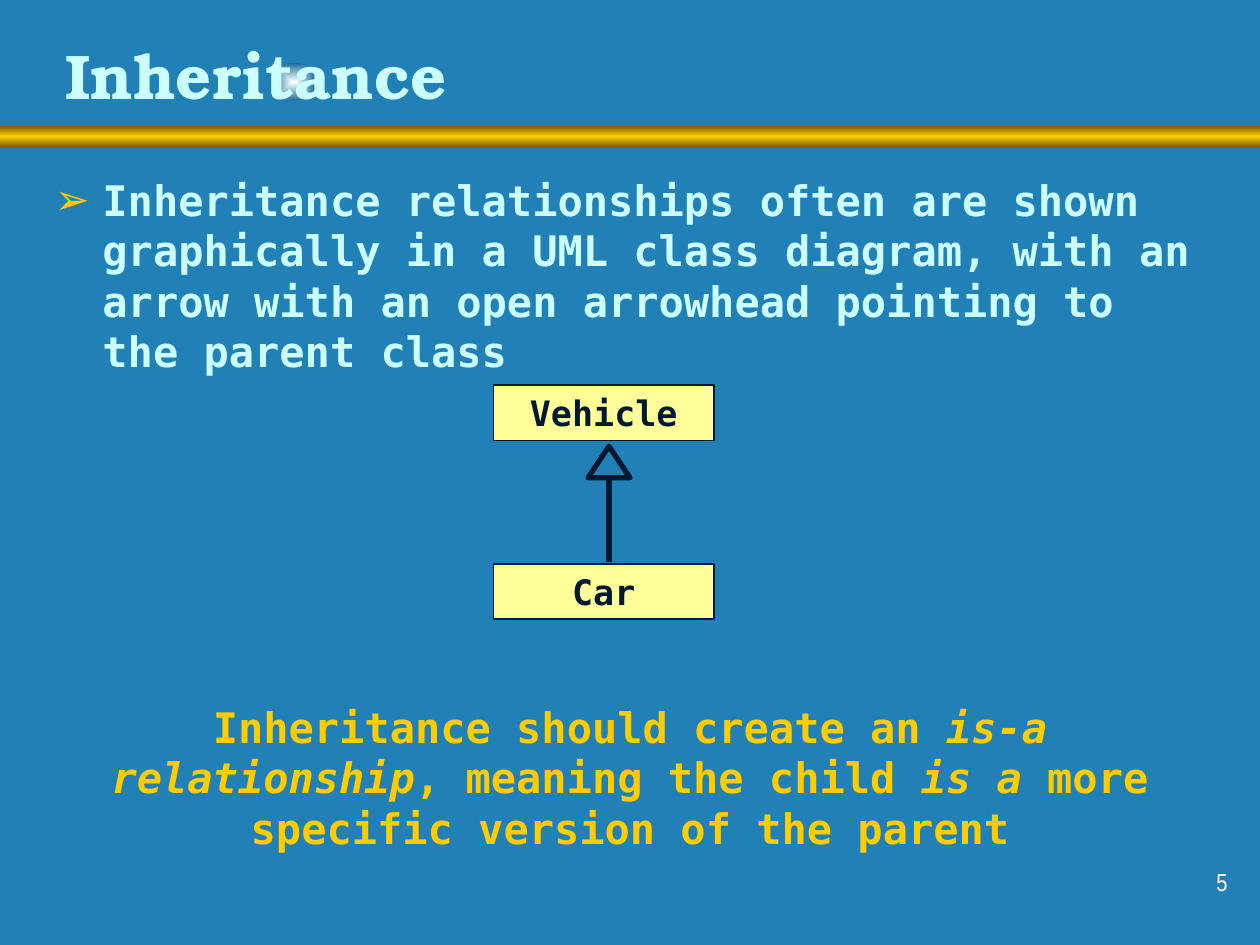
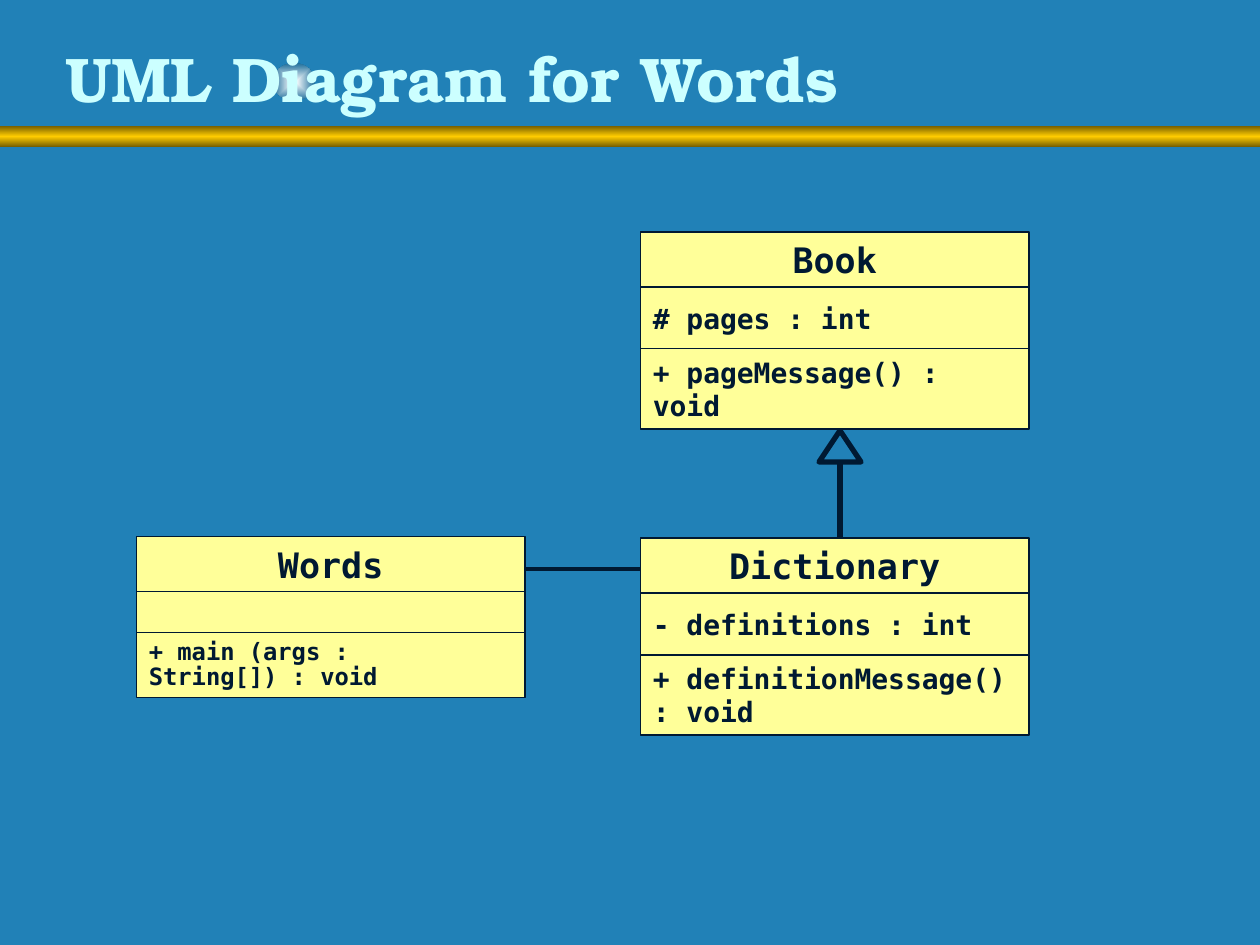
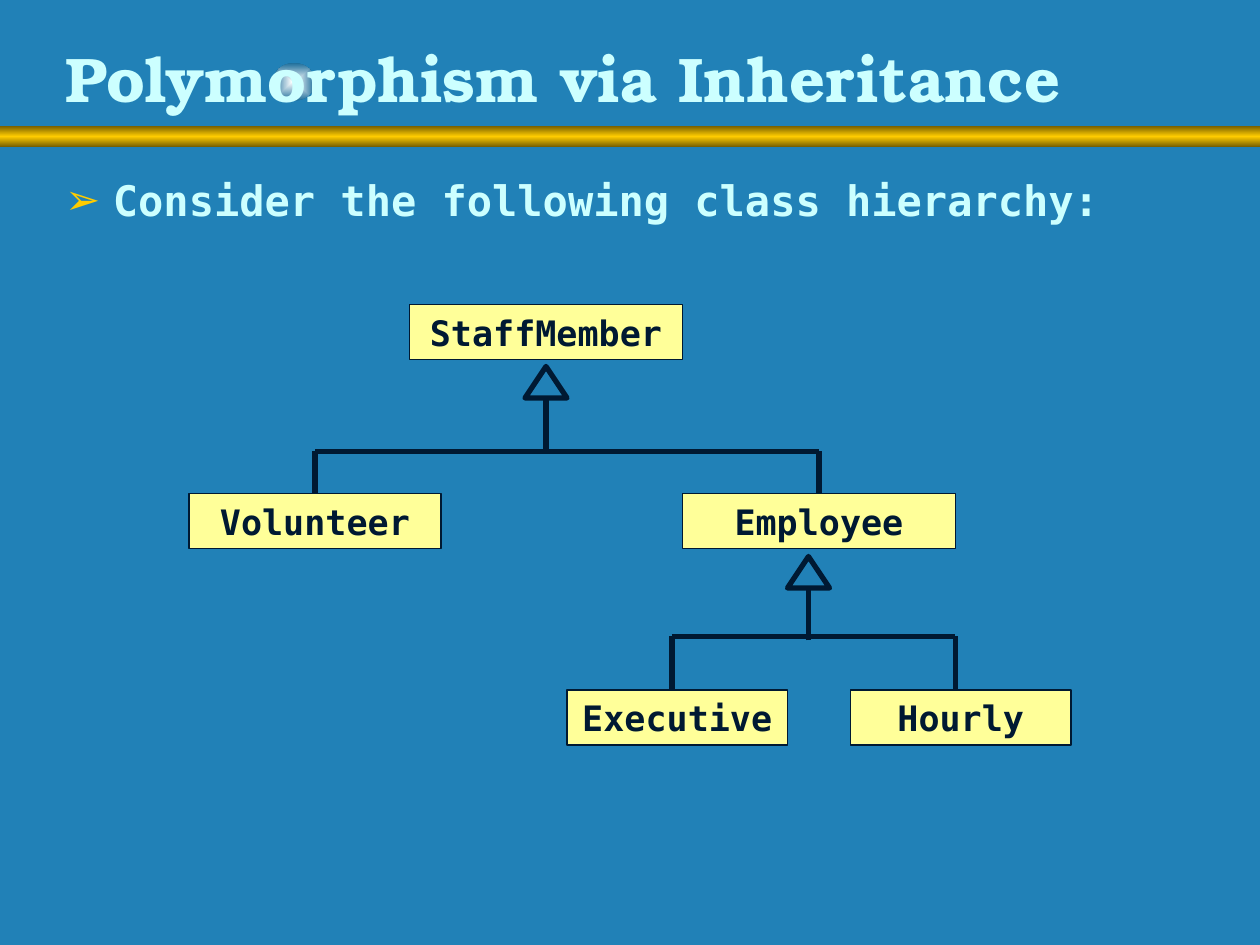
from dataclasses import dataclass
from typing import NamedTuple

from lxml.etree import SubElement
from pptx import Presentation
from pptx.dml.color import RGBColor
from pptx.enum.shapes import MSO_CONNECTOR, MSO_SHAPE
from pptx.enum.text import MSO_ANCHOR, MSO_AUTO_SIZE, PP_ALIGN
from pptx.oxml import parse_xml
from pptx.oxml.ns import nsdecls, qn
from pptx.util import Inches, Pt

COLS, ROWS = 120, 90
WIDE, HIGH = Inches(10), Inches(7.5)


@dataclass(frozen=True)
class Theme:
    back: str = "2181B7"
    pale: str = "CCFFFF"
    gold: str = "FFCC00"
    bronze: str = "765E00"
    ink: str = "001932"
    card: str = "FFFF99"
    white: str = "FFFFFF"
    glow: str = "FEFFFF"
    shade: str = "1C6D9A"
    serif: str = "TeX Gyre Bonum"
    mono: str = "DejaVu Sans Mono"
    narrow: str = "Arial Narrow"
    title: float = 36
    body: float = 24
    name: float = 20
    member: float = 16
    small: float = 13.6
    page: float = 14
    thin: float = 1
    link: float = 2.25
    thick: float = 3


class Area(NamedTuple):
    """A place in grid columns and rows."""
    left: float
    top: float
    width: float
    height: float

    def emu(self) -> tuple:
        return (across(self.left), down(self.top),
                across(self.width), down(self.height))


class Field(NamedTuple):
    """One compartment below the name of a class."""
    height: float
    text: str = ""
    size: float = 16
    spacing: float = 1.0


class Model(NamedTuple):
    """A UML class box: name, place and compartments."""
    name: str
    left: float
    top: float
    width: float
    fields: tuple = ()


THEME = Theme()
NAME_ROWS = 5.25
TITLE = Area(5, 2.6, 102.6, 9)


def across(cols: float) -> int:
    return round(WIDE * cols / COLS)


def down(rows: float) -> int:
    return round(HIGH * rows / ROWS)


def rgb(code: str) -> RGBColor:
    return RGBColor.from_string(code)


def write(frame, text: str, *, size: float, color: str, font: str = THEME.mono,
          bold: bool = True, align=PP_ALIGN.LEFT, anchor=MSO_ANCHOR.TOP,
          spacing: float = 1.0, bullet: str = "") -> None:
    """Fill a frame with one paragraph; words between asterisks are italic."""
    frame.word_wrap = True
    frame.auto_size = MSO_AUTO_SIZE.NONE
    frame.vertical_anchor = anchor
    frame.margin_left = frame.margin_right = Inches(0.1)
    frame.margin_top = frame.margin_bottom = Inches(0.05)
    para = frame.paragraphs[0]
    if bullet:
        props = para._p.get_or_add_pPr()
        props.set("marL", str(Inches(0.38)))
        props.set("indent", str(-Inches(0.38)))
        tint = SubElement(props, qn("a:buClr"))
        SubElement(tint, qn("a:srgbClr"), val=THEME.gold)
        SubElement(props, qn("a:buChar"), char=bullet)
    para.alignment = align
    para.line_spacing = spacing
    para.space_before = Pt(0)
    for i, piece in enumerate(text.split("*")):
        run = para.add_run()
        run.text = piece
        style = run.font
        style.name, style.size = font, Pt(size)
        style.bold, style.italic = bold, i % 2 == 1
        style.color.rgb = rgb(color)


def place(shape, area: Area) -> None:
    shape.left, shape.top, shape.width, shape.height = area.emu()


def draw(slide, kind, area: Area):
    shape = slide.shapes.add_shape(kind, *area.emu())
    shape.shadow.inherit = False
    return shape


def edge(line, width: float) -> None:
    line.color.rgb = rgb(THEME.ink)
    line.width = Pt(width)


def blend(shape, stops: list, way: str) -> None:
    """Give a shape a gradient of (percent, colour) stops."""
    shape.line.fill.background()
    shape.fill.gradient()
    props = shape.element.spPr
    marks = "".join(f'<a:gs pos="{at * 1000}"><a:srgbClr val="{code}"/></a:gs>'
                    for at, code in stops)
    props.replace(props.find(qn("a:gradFill")), parse_xml(
        f'<a:gradFill {nsdecls("a")} rotWithShape="1">'
        f'<a:gsLst>{marks}</a:gsLst>{way}</a:gradFill>'))


def dress(master, slide) -> None:
    """Set the background, glow and gold band that all slides share."""
    master.background.fill.solid()
    master.background.fill.fore_color.rgb = rgb(THEME.back)
    glow = draw(slide, MSO_SHAPE.OVAL, Area(26, 6, 4, 3.6))
    blend(glow, [(0, THEME.glow), (100, THEME.shade)],
          '<a:path path="rect"><a:fillToRect l="50000" t="50000" '
          'r="50000" b="50000"/></a:path>')
    band = draw(slide, MSO_SHAPE.RECTANGLE, Area(0, 12, COLS, 2))
    blend(band, [(0, THEME.bronze), (50, THEME.gold), (100, THEME.bronze)],
          '<a:lin ang="5400000" scaled="0"/>')
    for i, shape in enumerate((glow, band)):
        shape.element.nvSpPr.cNvPr.set("id", str(100 + i))
        master.shapes.element.insert(2 + i, shape.element)


def head(slide, text: str, anchor=MSO_ANCHOR.BOTTOM) -> None:
    place(slide.shapes.title, TITLE)
    write(slide.shapes.title.text_frame, text, size=THEME.title,
          color=THEME.pale, font=THEME.serif, anchor=anchor)


def point(slide, text: str, area: Area) -> None:
    """Put one bulleted statement in the body placeholder."""
    body = slide.placeholders[1]
    place(body, area)
    write(body.text_frame, text, size=THEME.body, color=THEME.pale, bullet="➢")


def note(slide, text: str, area: Area, **style) -> None:
    frame = slide.shapes.add_textbox(*area.emu()).text_frame
    write(frame, text, **style)


def card(slide, area: Area, text: str, size: float, **style):
    shape = draw(slide, MSO_SHAPE.RECTANGLE, area)
    shape.fill.solid()
    shape.fill.fore_color.rgb = rgb(THEME.card)
    edge(shape.line, THEME.thin)
    if text:
        write(shape.text_frame, text, size=size, color=THEME.ink,
              anchor=MSO_ANCHOR.MIDDLE, **style)
    return shape


def show(slide, model: Model):
    """Draw a class box and return its name compartment."""
    top = model.top + NAME_ROWS
    name = card(slide, Area(model.left, model.top, model.width, NAME_ROWS),
                model.name, THEME.name, align=PP_ALIGN.CENTER)
    for field in model.fields:
        card(slide, Area(model.left, top, model.width, field.height),
             field.text, field.size, spacing=field.spacing)
        top += field.height
    return name


def link(slide, start: tuple, end: tuple, width: float = THEME.thick):
    wire = slide.shapes.add_connector(
        MSO_CONNECTOR.STRAIGHT, across(start[0]), down(start[1]),
        across(end[0]), down(end[1]))
    edge(wire.line, width)
    SubElement(wire.element.spPr, qn("a:effectLst"))
    return wire


def arrow(slide, col: float, tip: float, tail: float) -> None:
    """Draw an upward arrow with an open head."""
    link(slide, (col, tail), (col, tip + 3))
    top = draw(slide, MSO_SHAPE.ISOSCELES_TRIANGLE, Area(col - 2, tip, 4, 3))
    top.fill.background()
    edge(top.line, THEME.thick)


def fork(slide, bar: float, cols: tuple, foot: float) -> list:
    """Draw a bar with a leg down at each column; return the legs."""
    link(slide, (cols[0], bar), (cols[-1], bar))
    return [link(slide, (col, bar), (col, foot)) for col in cols]


def basics(slide) -> None:
    head(slide, "Inheritance", MSO_ANCHOR.MIDDLE)
    point(slide, "Inheritance relationships often are shown graphically in a "
          "UML class diagram, with an arrow with an open arrowhead pointing "
          "to the parent class", Area(4, 16, 112, 64.3))
    note(slide, "5", Area(93.1, 82, 25, 6), size=THEME.page, color=THEME.white,
         font=THEME.narrow, bold=False, align=PP_ALIGN.RIGHT)
    note(slide, "Inheritance should create an *is-a relationship*, meaning "
         "the child *is a* more specific version of the parent",
         Area(8, 66.2, 104, 15.6), size=THEME.body, color=THEME.gold,
         align=PP_ALIGN.CENTER)
    arrow(slide, 58, 42.5, 53.5)
    for name, top in (("Vehicle", 36.7), ("Car", 53.7)):
        show(slide, Model(name, 47, top, 21))


def words(slide) -> None:
    head(slide, "UML Diagram for Words")
    link(slide, (43, 54.2), (61, 54.2), THEME.link)
    arrow(slide, 80, 41, 52)
    models = (
        Model("Book", 61, 22.1, 37, (
            Field(5.85, "# pages : int", THEME.member),
            Field(7.65, "+ pageMessage() : void", THEME.member))),
        Model("Dictionary", 61, 51.25, 37, (
            Field(5.85, "- definitions : int", THEME.member),
            Field(7.65, "+ definitionMessage() : void", THEME.member))),
        Model("Words", 13, 51.1, 37, (
            Field(3.9),
            Field(6.2, "+ main (args : String[]) : void", THEME.small, 0.9))),
    )
    for model in models:
        show(slide, model)


def staff(slide) -> None:
    head(slide, "Polymorphism via Inheritance")
    point(slide, "Consider the following class hierarchy:",
          Area(5, 16, 109, 64.3))
    arrow(slide, 52, 34.9, 43)
    arrow(slide, 77, 53, 61)
    upper = fork(slide, 43, (30, 78), 47)
    fork(slide, 60.6, (64, 91), 65.7)
    models = (Model("StaffMember", 39, 29, 26), Model("Executive", 54, 65.7, 21),
              Model("Hourly", 81, 65.7, 21), Model("Volunteer", 18, 47, 24),
              Model("Employee", 65, 47, 26))
    boxes = {model.name: show(slide, model) for model in models}
    for leg, name in zip(upper, ("Volunteer", "Employee")):
        leg.end_connect(boxes[name], 0)


def main() -> None:
    deck = Presentation()
    deck.slide_width, deck.slide_height = WIDE, HIGH
    listed, plain = deck.slide_layouts[1], deck.slide_layouts[5]
    pages = ((listed, basics), (plain, words), (listed, staff))
    for i, (layout, build) in enumerate(pages):
        slide = deck.slides.add_slide(layout)
        if i == 0:
            dress(deck.slide_master, slide)
        build(slide)
    deck.save("out.pptx")


if __name__ == "__main__":
    main()
